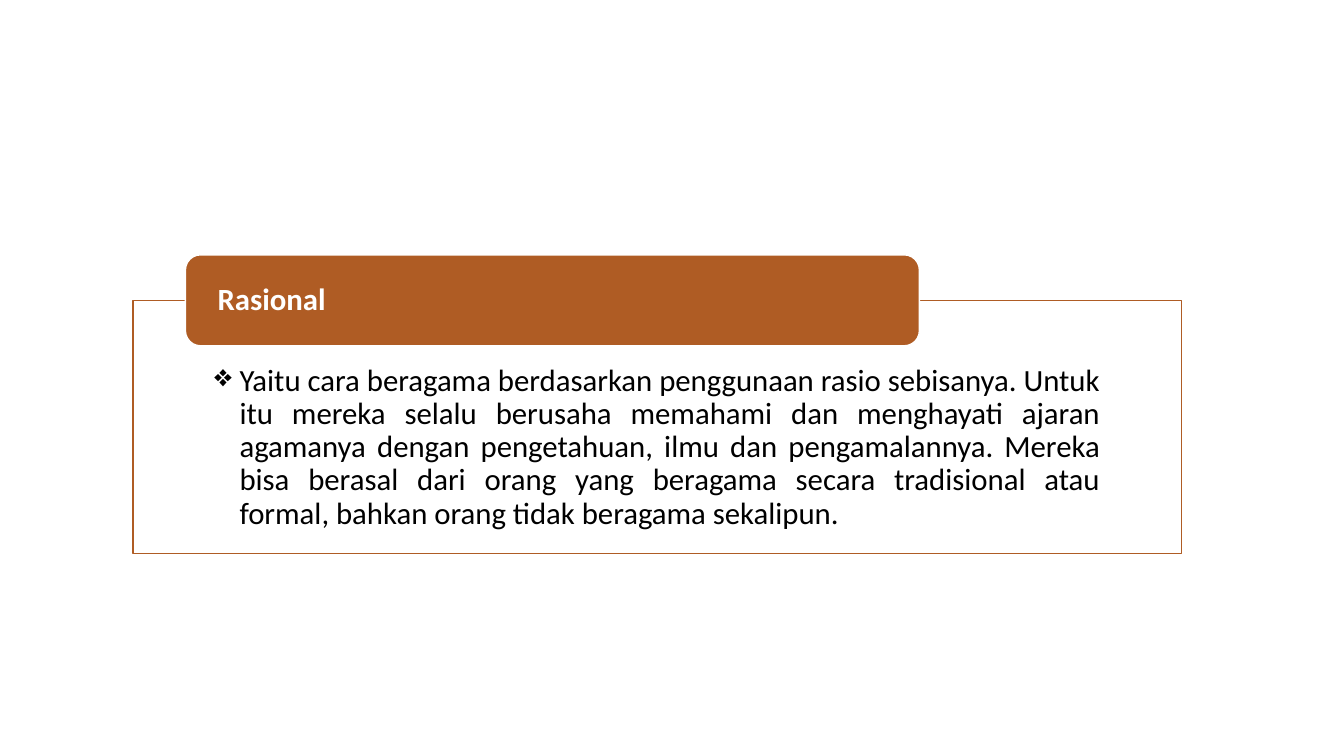
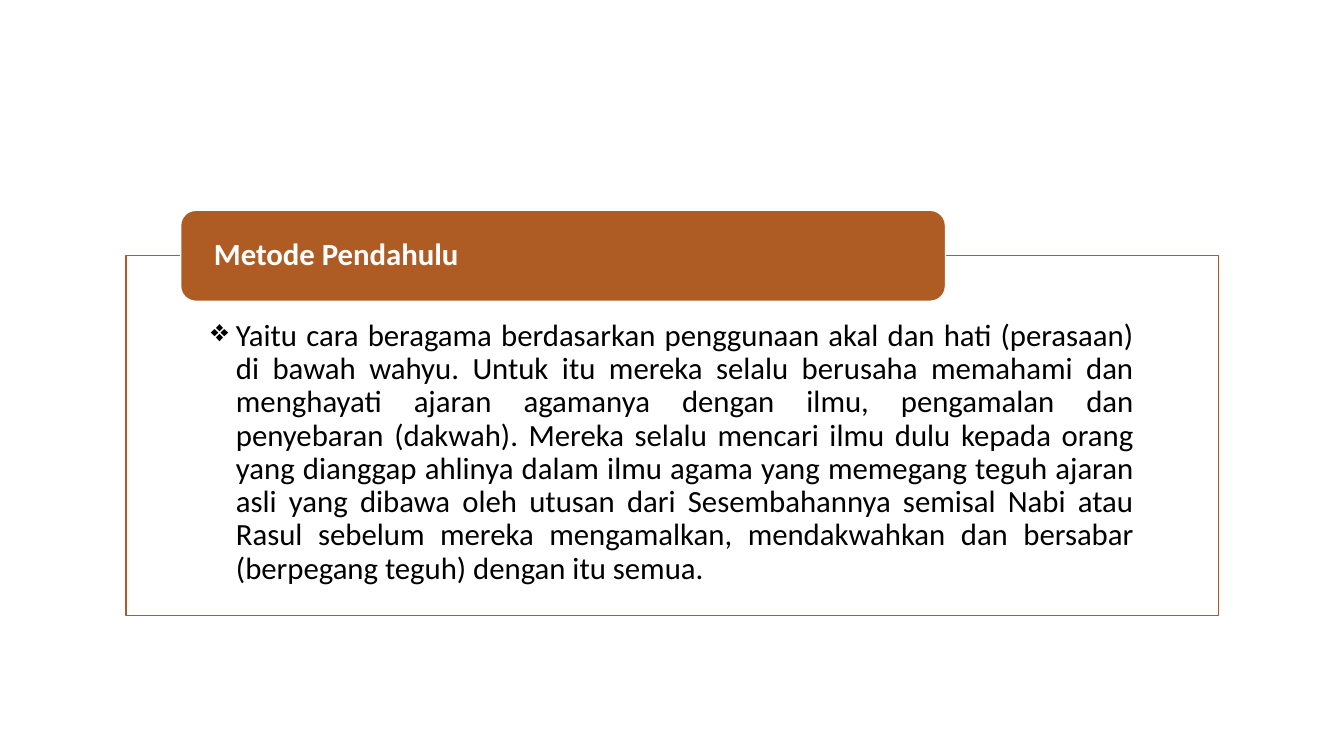
"""Build two slides, each with a framed explanation under a heading tab."""
from lxml import etree
from pptx import Presentation
from pptx.dml.color import RGBColor
from pptx.enum.shapes import MSO_SHAPE
from pptx.enum.text import MSO_ANCHOR, PP_ALIGN
from pptx.oxml.ns import qn
from pptx.util import Pt

RECTANGLE, ROUNDED = MSO_SHAPE.RECTANGLE, MSO_SHAPE.ROUNDED_RECTANGLE
TOP, MIDDLE = MSO_ANCHOR.TOP, MSO_ANCHOR.MIDDLE
LEFT, JUSTIFY = PP_ALIGN.LEFT, PP_ALIGN.JUSTIFY

SLIDES = [
    {
        "heading": "Rasional",
        "body": "Yaitu cara beragama berdasarkan penggunaan rasio sebisanya. "
                "Untuk itu mereka selalu berusaha memahami dan menghayati ajaran "
                "agamanya dengan pengetahuan, ilmu dan pengamalannya. Mereka bisa "
                "berasal dari orang yang beragama secara tradisional atau formal, "
                "bahkan orang tidak beragama sekalipun.",
        "frame": (95, 214.5, 749, 180.7),
    },
    {
        "heading": "Metode Pendahulu",
        "body": "Yaitu cara beragama berdasarkan penggunaan akal dan hati (perasaan) "
                "di bawah wahyu. Untuk itu mereka selalu berusaha memahami dan "
                "menghayati ajaran agamanya dengan ilmu, pengamalan dan penyebaran "
                "(dakwah). Mereka selalu mencari ilmu dulu kepada orang yang dianggap "
                "ahlinya dalam ilmu agama yang memegang teguh ajaran asli yang dibawa "
                "oleh utusan dari Sesembahannya semisal Nabi atau Rasul sebelum mereka "
                "mengamalkan, mendakwahkan dan bersabar (berpegang teguh) dengan itu "
                "semua.",
        "frame": (90, 182.7, 780.5, 257),
    },
]

COLORS = {"accent": "AF5C24", "paper": "FFFFFF", "ink": "000000"}
FONT = {"name": "Calibri", "size": Pt(22)}
BODY_STYLE = {"fill": "paper", "line": "accent", "text": "ink", "bold": False,
              "align": JUSTIFY, "anchor": TOP}
TAB_STYLE = {"fill": "accent", "line": "paper", "text": "paper", "bold": True,
             "align": LEFT, "anchor": MIDDLE}
TAB_HEIGHT = 65
TAB_OFFSET, TAB_WIDTH = 0.05, 0.7
BODY_INSET, TAB_INSET = 0.0776, 0.0265
BODY_TOP_INSET, BODY_BOTTOM_INSET = 45.8, 12.5
BULLET, BULLET_INDENT = "❖", Pt(18)
FRAME_OPACITY = 90


def color(name):
    return RGBColor.from_string(COLORS[name])


def set_attributes(target, values):
    for name, value in values.items():
        setattr(target, name, value)


def add_panel(slide, kind, box, insets, text, style):
    shape = slide.shapes.add_shape(kind, *map(Pt, box))
    shape.shadow.inherit = False
    shape.fill.solid()
    shape.fill.fore_color.rgb = color(style["fill"])
    shape.line.color.rgb = color(style["line"])
    shape.line.width = Pt(1)
    side, top, bottom = map(Pt, insets)
    set_attributes(shape.text_frame, {
        "word_wrap": True, "vertical_anchor": style["anchor"],
        "margin_left": side, "margin_right": side,
        "margin_top": top, "margin_bottom": bottom,
    })
    paragraph = shape.text_frame.paragraphs[0]
    set_attributes(paragraph, {"alignment": style["align"], "line_spacing": 0.9})
    run = paragraph.add_run()
    run.text = text
    set_attributes(run.font, {**FONT, "bold": style["bold"]})
    run.font.color.rgb = color(style["text"])
    return shape


def add_bullet(paragraph):
    properties = paragraph._p.get_or_add_pPr()
    properties.set("marL", str(BULLET_INDENT))
    properties.set("indent", str(-BULLET_INDENT))
    etree.SubElement(properties, qn("a:buChar"), char=BULLET)


def set_opacity(shape, percent):
    fill_color = shape._element.spPr.find(qn("a:solidFill"))[0]
    etree.SubElement(fill_color, qn("a:alpha"), val=str(percent * 1000))


def add_topic(slide, heading, body, frame):
    left, top, width, height = frame
    panel = add_panel(slide, RECTANGLE, frame,
                      (width * BODY_INSET, BODY_TOP_INSET, BODY_BOTTOM_INSET),
                      body, BODY_STYLE)
    set_opacity(panel, FRAME_OPACITY)
    add_bullet(panel.text_frame.paragraphs[0])
    tab_box = (left + width * TAB_OFFSET, top - TAB_HEIGHT / 2,
               width * TAB_WIDTH, TAB_HEIGHT)
    add_panel(slide, ROUNDED, tab_box, (width * TAB_INSET, 0, 0), heading, TAB_STYLE)


def main():
    presentation = Presentation()
    presentation.slide_width, presentation.slide_height = Pt(960), Pt(540)
    blank = presentation.slide_layouts[6]
    for topic in SLIDES:
        add_topic(presentation.slides.add_slide(blank), **topic)
    presentation.save("out.pptx")


if __name__ == "__main__":
    main()
